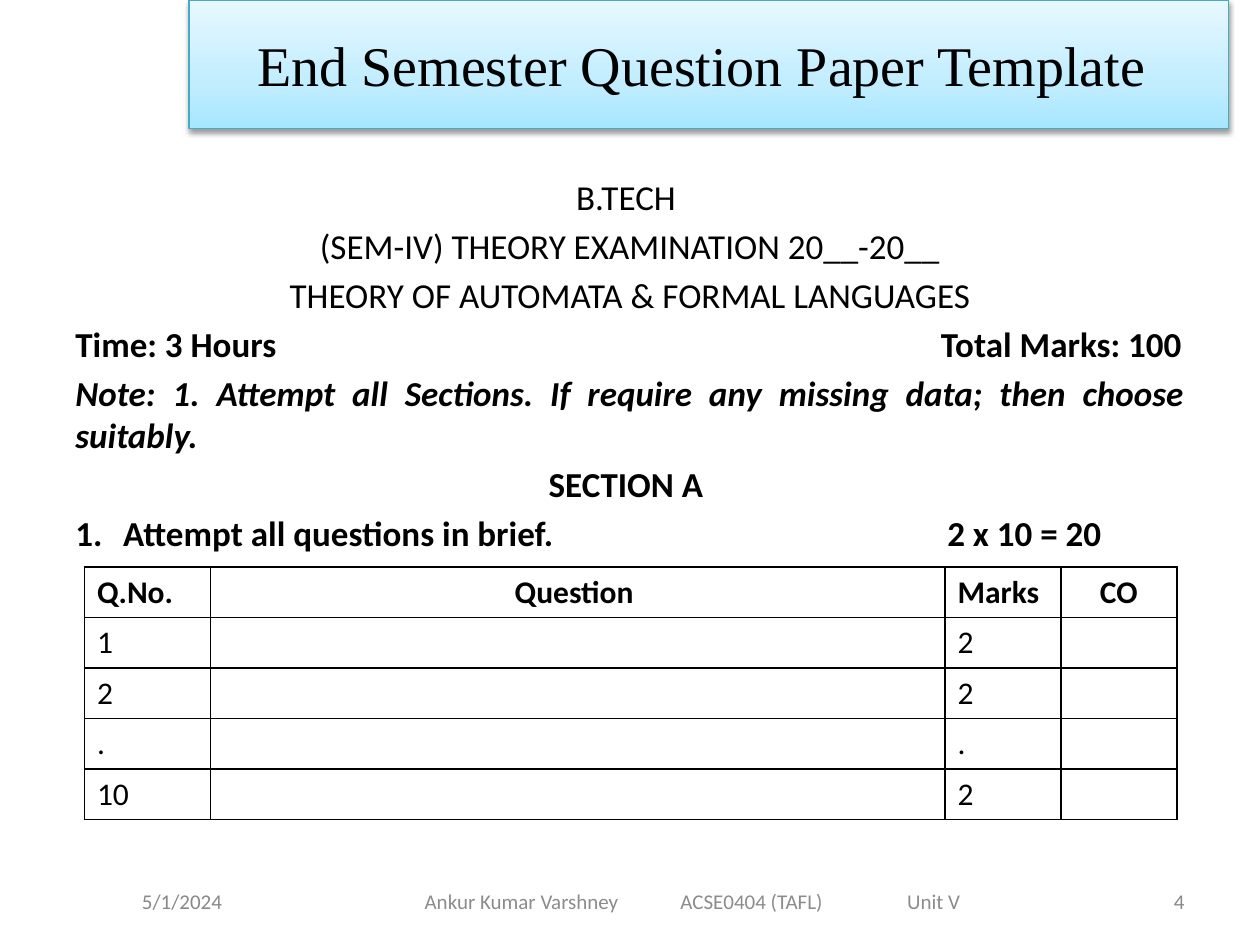
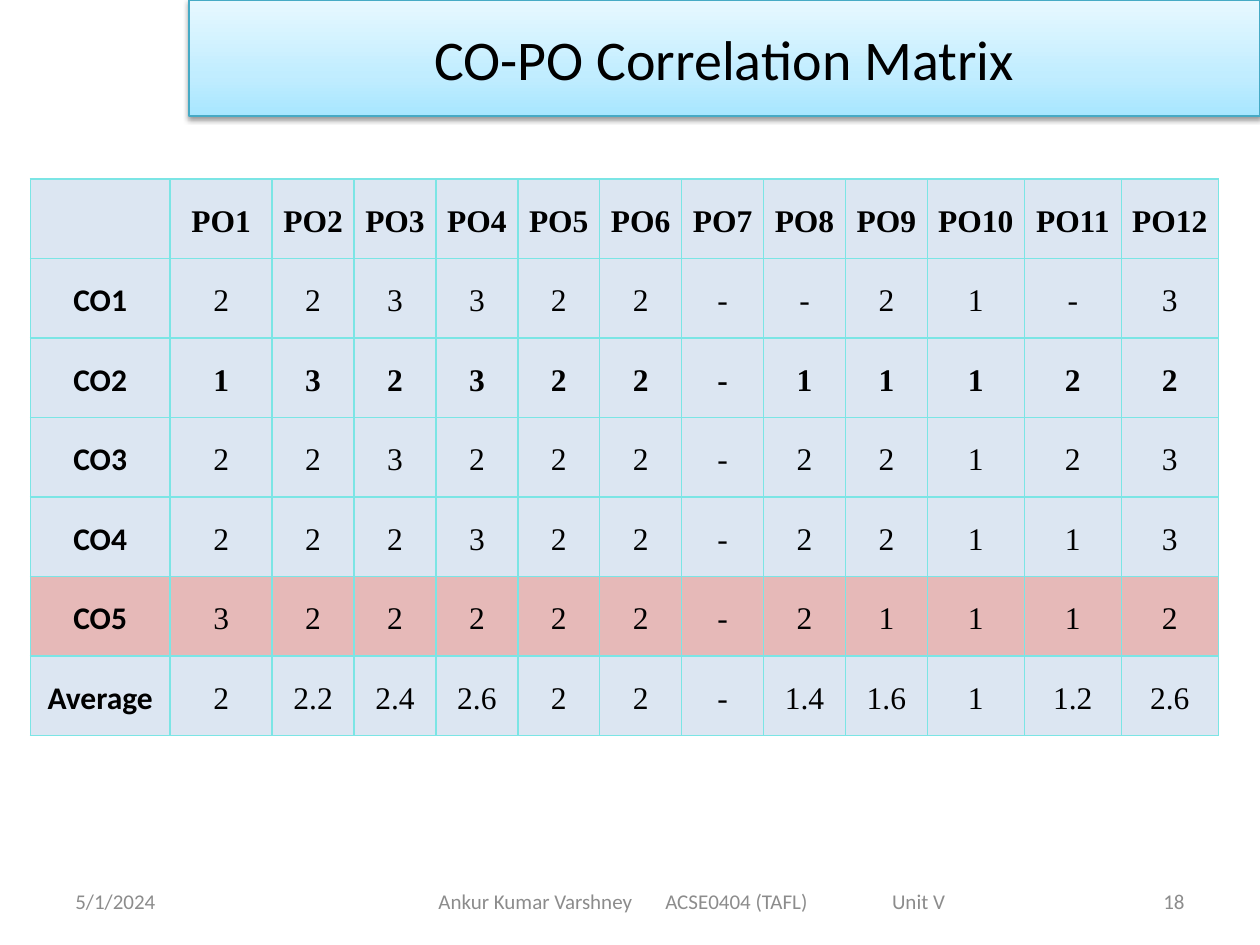
import copy
import dataclasses

import pptx
import pptx.dml.color
import pptx.enum.shapes
import pptx.enum.text
import pptx.oxml
import pptx.oxml.ns
import pptx.util

ALIGN = pptx.enum.text.PP_ALIGN
ANCHOR = pptx.enum.text.MSO_ANCHOR
GRID_COLUMNS, GRID_ROWS = 10, 7.5


@dataclasses.dataclass(frozen=True)
class Theme:
    sans: str = "Calibri"
    serif: str = "Times New Roman"
    ink: str = "000000"
    paper: str = "FFFFFF"
    muted: str = "8C8C8C"
    muted_dark: str = "888888"
    band_stops: tuple = ((0, "A7E6FF"), (0.35, "C1EDFF"), (1, "E7F8FF"))
    band_edge: str = "46AAC5"
    matrix_fill: str = "DCE6F2"
    matrix_accent: str = "E6B9B8"
    matrix_edge: str = "7BE5E5"
    title_size: int = 32
    body_size: int = 20
    table_size: int = 18
    footer_size: int = 12


@dataclasses.dataclass(frozen=True)
class Box:
    left: float
    top: float
    width: float
    height: float

    def share(self, start, size):
        return Box(self.left + start * self.width, self.top, size * self.width, self.height)

    def lengths(self):
        return [pptx.util.Inches(side) for side in (self.left, self.top, self.width, self.height)]


THEME = Theme()
FOOTER_BOX = Box(0.5, 6.95, 9, 0.4)

EXAM_ROWS = [["Q.No.", "Question ", "Marks", "CO"],
             ["1", "", "2", ""],
             ["2", "", "2", ""],
             [".", "", ".", ""],
             ["10", "", "2", ""]]

MATRIX_ROWS = [[""] + [f"PO{number}" for number in range(1, 13)]] + [
    line.split() for line in (
        "CO1 2 2 3 3 2 2 - - 2 1 - 3",
        "CO2 1 3 2 3 2 2 - 1 1 1 2 2",
        "CO3 2 2 3 2 2 2 - 2 2 1 2 3",
        "CO4 2 2 2 3 2 2 - 2 2 1 1 3",
        "CO5 3 2 2 2 2 2 - 2 1 1 1 2",
        "Average 2 2.2 2.4 2.6 2 2 - 1.4 1.6 1 1.2 2.6")]


def rgb(value):
    return pptx.dml.color.RGBColor.from_string(value)


def drawing(tag, content="", **attributes):
    listed = " ".join(f'{name}="{value}"' for name, value in attributes.items())
    return pptx.oxml.parse_xml(
        f'<a:{tag} {pptx.oxml.ns.nsdecls("a")} {listed}>{content}</a:{tag}>')


def write(para, text, size, font=THEME.sans, color=THEME.ink, bold=False, italic=False,
          align=ALIGN.LEFT, before=None, after=None, spacing=None, numbered=False,
          hanging=None, tabs=()):
    para.alignment = align
    para.space_before, para.space_after = before, after
    para.line_spacing = spacing
    properties = para._p.get_or_add_pPr()
    if hanging:
        indent = pptx.util.Inches(hanging)
        properties.set("marL", str(indent))
        properties.set("indent", str(-indent))
    if numbered:
        properties.append(drawing("buAutoNum", type="arabicPeriod"))
    if tabs:
        stops = "".join(f'<a:tab pos="{pptx.util.Inches(stop)}" algn="{side}"/>'
                        for stop, side in tabs)
        properties.append(drawing("tabLst", stops))
    span = para.add_run()
    span.text = text
    span.font.size = pptx.util.Pt(size)
    span.font.name = font
    span.font.bold, span.font.italic = bold, italic
    span.font.color.rgb = rgb(color)


def text_frame(page, box, anchor=ANCHOR.MIDDLE):
    frame = page.shapes.add_textbox(*box.lengths()).text_frame
    frame.word_wrap = True
    frame.vertical_anchor = anchor
    return frame


def title_band(page, box, text, font):
    band = page.shapes.add_shape(pptx.enum.shapes.MSO_SHAPE.RECTANGLE, *box.lengths())
    band.fill.gradient()
    band.fill.gradient_angle = 90
    properties = band._element.spPr
    stop_list = properties.find(".//" + pptx.oxml.ns.qn("a:gsLst"))
    stop_list.append(copy.deepcopy(stop_list[0]))
    for stop, (position, color) in zip(band.fill.gradient_stops, THEME.band_stops):
        stop.position = position
        stop.color.rgb = rgb(color)
    band.line.color.rgb = rgb(THEME.band_edge)
    band.line.width = pptx.util.Pt(0.75)
    shade = f'<a:srgbClr val="{THEME.ink}"><a:alpha val="38000"/></a:srgbClr>'
    blur, distance = pptx.util.Pt(3.1), pptx.util.Pt(1.6)
    properties.append(drawing(
        "effectLst", f'<a:outerShdw blurRad="{blur}" dist="{distance}" dir="5400000" '
                     f'rotWithShape="0">{shade}</a:outerShdw>'))
    band.text_frame.word_wrap = True
    band.text_frame.vertical_anchor = ANCHOR.MIDDLE
    write(band.text_frame.paragraphs[0], text, THEME.title_size, font=font, align=ALIGN.CENTER)


def footer(page, box, number, date_share, date_align, color, inset, tabs):
    def part(share, text, **style):
        frame = text_frame(page, box.share(*share))
        write(frame.paragraphs[0], text, THEME.footer_size, **style)
        return frame

    part(date_share, "5/1/2024", align=date_align, color=color)
    course = part((0.25, 0.61), "Ankur Kumar Varshney\tACSE0404 (TAFL)\tUnit V",
                  color=THEME.muted, tabs=[(stop, "l") for stop in tabs])
    course.margin_left = pptx.util.Inches(inset)
    part((0.74, 0.26), number, align=ALIGN.RIGHT, color=color)


def exam_heading(page, box):
    centered = dict(align=ALIGN.CENTER)
    lines = [
        ("B.TECH ", centered),
        ("(SEM-IV) THEORY EXAMINATION 20__-20__", centered),
        ("THEORY OF AUTOMATA & FORMAL LANGUAGES", centered),
        ("Time: 3 Hours\tTotal Marks: 100", dict(bold=True, tabs=[(8.78, "r")])),
        ("Note: 1. Attempt all Sections. If require any missing data; then choose suitably.",
         dict(bold=True, italic=True, align=ALIGN.JUSTIFY)),
        ("SECTION A ", dict(bold=True, **centered)),
        ("Attempt all questions in brief.\t2 x 10 = 20",
         dict(bold=True, numbered=True, hanging=0.38, tabs=[(6.92, "l")])),
    ]
    frame = text_frame(page, box, ANCHOR.TOP)
    for index, (text, style) in enumerate(lines):
        para = frame.add_paragraph() if index else frame.paragraphs[0]
        before = pptx.util.Pt(THEME.body_size * 0.2) if index else None
        write(para, text, THEME.body_size, before=before, **style)


def grid_table(page, box, rows, widths, edge, style_cell):
    table = page.shapes.add_table(len(rows), len(widths), *box.lengths()).table
    table.first_row = table.horz_banding = False
    for column, width in zip(table.columns, widths):
        column.width = pptx.util.Inches(width)
    for row in table.rows:
        row.height = pptx.util.Inches(box.height / len(rows))
    line = f'<a:solidFill><a:srgbClr val="{edge}"/></a:solidFill>'
    for row_index, texts in enumerate(rows):
        for column_index, text in enumerate(texts):
            cell = table.cell(row_index, column_index)
            for side in ("lnL", "lnR", "lnT", "lnB"):
                cell._tc.get_or_add_tcPr().append(drawing(side, line, w=pptx.util.Pt(1)))
            fill, style = style_cell(cell, row_index, column_index)
            cell.fill.solid()
            cell.fill.fore_color.rgb = rgb(fill)
            if text:
                write(cell.text_frame.paragraphs[0], text, THEME.table_size, **style)


def exam_cell(cell, row, column):
    align = ALIGN.CENTER if column in (1, 3) else ALIGN.LEFT
    return THEME.paper, dict(bold=row == 0, align=align)


def matrix_cell(cell, row, column):
    cell.vertical_anchor = ANCHOR.MIDDLE
    cell.margin_left = cell.margin_right = pptx.util.Inches(0.07)
    cell.margin_top = cell.margin_bottom = 0
    label = row == 0 or column == 0
    style = dict(font=THEME.sans if column == 0 else THEME.serif,
                 bold=label or row == 2, align=ALIGN.CENTER, spacing=1.15,
                 after=None if label else pptx.util.Pt(10))
    return THEME.matrix_accent if row == 5 else THEME.matrix_fill, style


def exam_page(page):
    title_band(page, Box(1.5, 0, 8.25, 1.02), "End Semester Question Paper Template ", THEME.serif)
    exam_heading(page, Box(0.5, 1.34, 9, 5.2))
    grid_table(page, Box(0.67, 4.5, 8.67, 2), EXAM_ROWS, [1, 5.83, 0.92, 0.92],
               THEME.ink, exam_cell)
    footer(page, FOOTER_BOX, "4", (0.02, 0.17), ALIGN.CENTER, THEME.muted_dark,
           0.62, (2.03, 3.83))


def matrix_page(page):
    title_band(page, Box(1.5, 0, 8.5, 0.92), "CO-PO Correlation Matrix", THEME.sans)
    grid_table(page, Box(0.24, 1.42, 9.42, 4.42), MATRIX_ROWS,
               [1.11, 0.81] + [0.65] * 8 + [0.77] * 3, THEME.matrix_edge, matrix_cell)
    footer(page, FOOTER_BOX, "18", (0, 0.26), ALIGN.LEFT, THEME.muted, 0.73, (1.8, 3.6))


def main():
    deck = pptx.Presentation()
    deck.slide_width = pptx.util.Inches(GRID_COLUMNS)
    deck.slide_height = pptx.util.Inches(GRID_ROWS)
    for build in (exam_page, matrix_page):
        build(deck.slides.add_slide(deck.slide_layouts[6]))
    deck.save("out.pptx")


if __name__ == "__main__":
    main()
